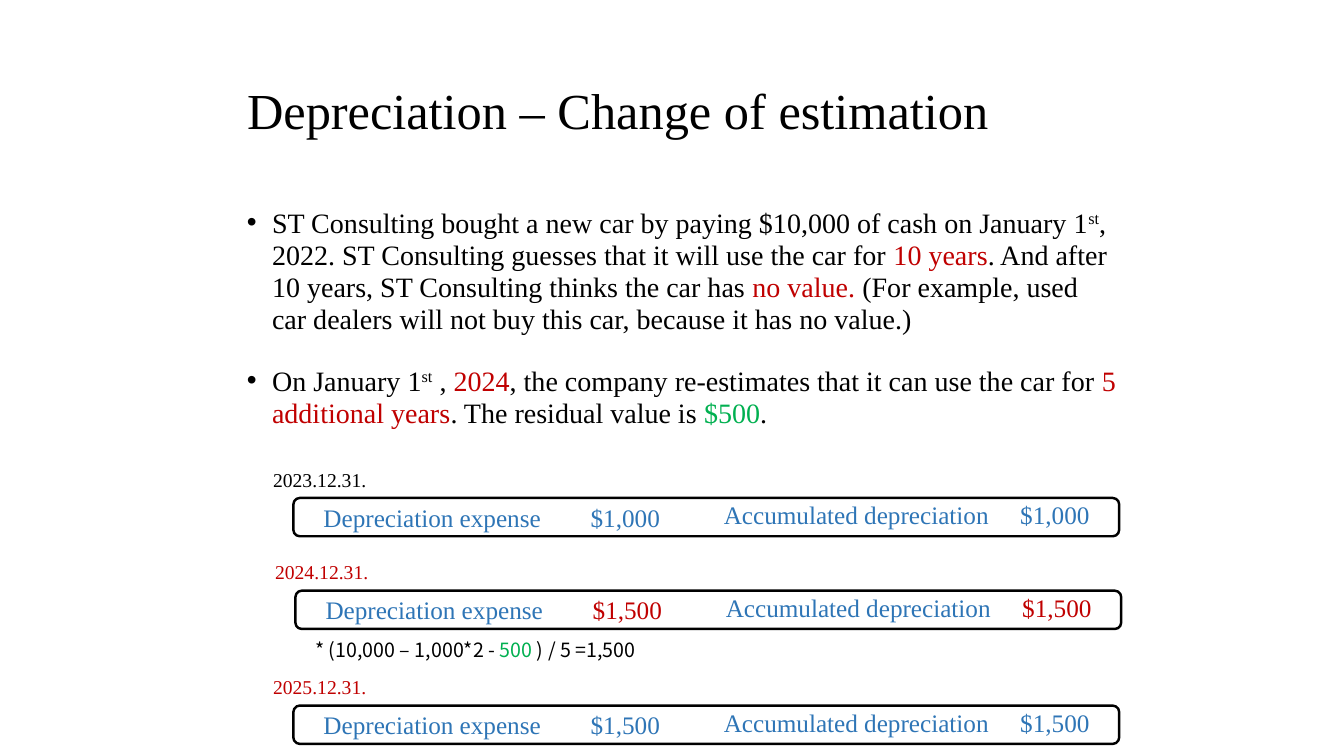
import pptx
import pptx.util
import pptx.dml.color
import pptx.enum.shapes
import pptx.enum.text
import lxml.etree
from pptx.util import Inches

BLACK = pptx.dml.color.RGBColor(0x00, 0x00, 0x00)
RED = pptx.dml.color.RGBColor(0xC0, 0x00, 0x00)
GREEN = pptx.dml.color.RGBColor(0x00, 0xB0, 0x50)
BLUE = pptx.dml.color.RGBColor(0x2E, 0x75, 0xB6)
SERIF = "Times New Roman"
SANS = "Noto Sans CJK KR"


def add_runs(p, size, runs, font=SERIF):
    for text, color, *raised in runs:
        r = p.add_run()
        r.text = text
        for name, value in {"name": font, "size": pptx.util.Pt(size)}.items():
            setattr(r.font, name, value)
        r.font.color.rgb = color
        if raised:
            r.font._element.set("baseline", "30000")


def add_text(left, top, width, height, size, runs, font=SERIF, tab=None):
    tf = s.shapes.add_textbox(Inches(left), Inches(top), Inches(width), Inches(height)).text_frame
    tf.word_wrap = True
    tf.auto_size = pptx.enum.text.MSO_AUTO_SIZE.SHAPE_TO_FIT_TEXT
    p = tf.paragraphs[0]
    if tab:
        tabs = lxml.etree.SubElement(p._p.get_or_add_pPr(), pptx.oxml.ns.qn("a:tabLst"))
        lxml.etree.SubElement(tabs, pptx.oxml.ns.qn("a:tab"), pos=str(Inches(tab)), algn="l")
    add_runs(p, size, runs, font)
    return p


prs = pptx.Presentation()
prs.slide_width = Inches(13.33)
prs.slide_height = Inches(7.5)
s = prs.slides.add_slide(prs.slide_layouts[5])

title = s.shapes.title
for name, value in {"left": 2.35, "top": 0.4, "width": 9.31, "height": 1.45}.items():
    setattr(title, name, Inches(value))
title.text_frame.vertical_anchor = pptx.enum.text.MSO_ANCHOR.MIDDLE
p = title.text_frame.paragraphs[0]
p.alignment = pptx.enum.text.PP_ALIGN.LEFT
p.line_spacing = 0.9
add_runs(p, 36, [("Depreciation – Change of estimation", BLACK)])

bullets = [
    [
        ("ST Consulting bought a new car by paying $10,000 of cash on January 1", BLACK),
        ("st", BLACK, True),
        (", 2022. ST Consulting guesses that it will use the car for ", BLACK),
        ("10 years", RED),
        (". And after 10 years, ST Consulting thinks the car has ", BLACK),
        ("no value. ", RED),
        ("(For example, used car dealers will not buy this car, because it has no value.)", BLACK),
    ],
    [
        ("On January 1", BLACK),
        ("st", BLACK, True),
        (" , ", BLACK),
        ("2024", RED),
        (", the company re-estimates that it can use the car for ", BLACK),
        ("5 additional years", RED),
        (". The residual value is ", BLACK),
        ("$500", GREEN),
        (".", BLACK),
    ],
]
tf = s.shapes.add_textbox(Inches(2.35), Inches(2), Inches(8.83), Inches(2.5)).text_frame
tf.word_wrap = True
for i, runs in enumerate(bullets):
    p = tf.add_paragraph() if i else tf.paragraphs[0]
    pPr = p._p.get_or_add_pPr()
    pPr.set("marL", str(Inches(0.25)))
    pPr.set("indent", str(-Inches(0.25)))
    lxml.etree.SubElement(pPr, pptx.oxml.ns.qn("a:buFont"), typeface="Arial")
    lxml.etree.SubElement(pPr, pptx.oxml.ns.qn("a:buChar"), char="•")
    p.line_spacing = pptx.util.Pt(23)
    p.space_before = pptx.util.Pt(3 if i else 0)
    p.space_after = pptx.util.Pt(6 if i else 18)
    add_runs(p, 20, runs)

entries = [
    ("2023.12.31.", BLACK, "$1,000", BLUE, 2.91, 4.94),
    ("2024.12.31.", RED, "$1,500", RED, 2.93, 5.86),
    ("2025.12.31.", RED, "$1,500", BLUE, 2.91, 7),
]
for date, date_color, amount, amount_color, left, top in entries:
    add_text(left - 0.3, top - 0.35, 1.27, 0.34, 14, [(date, date_color)])
    add_text(left + 0.2, top - 0.01, 4.11, 0.4, 18,
             [("Depreciation expense\t", BLUE), (amount, amount_color)], tab=2.65)
    p = add_text(left + 4.17, top - 0.01, 4.25, 0.38, 18,
                 [("Accumulated depreciation\t", BLUE), (amount, amount_color)], tab=2.94)
    p.line_spacing = pptx.util.Pt(20)
    p.space_after = pptx.util.Pt(6)
    frame = s.shapes.add_shape(pptx.enum.shapes.MSO_SHAPE.ROUNDED_RECTANGLE,
                               Inches(left), Inches(top), Inches(8.19), Inches(0.38))
    frame.shadow.inherit = False
    frame.fill.background()
    frame.line.color.rgb = BLACK
    frame.line.width = pptx.util.Pt(1.75)

add_text(3.03, 6.28, 7.95, 0.34, 14,
         [("* (10,000 – 1,000*2 - ", BLACK), ("500", GREEN), (" ) / 5 =1,500", BLACK)], SANS)

prs.save("out.pptx")
